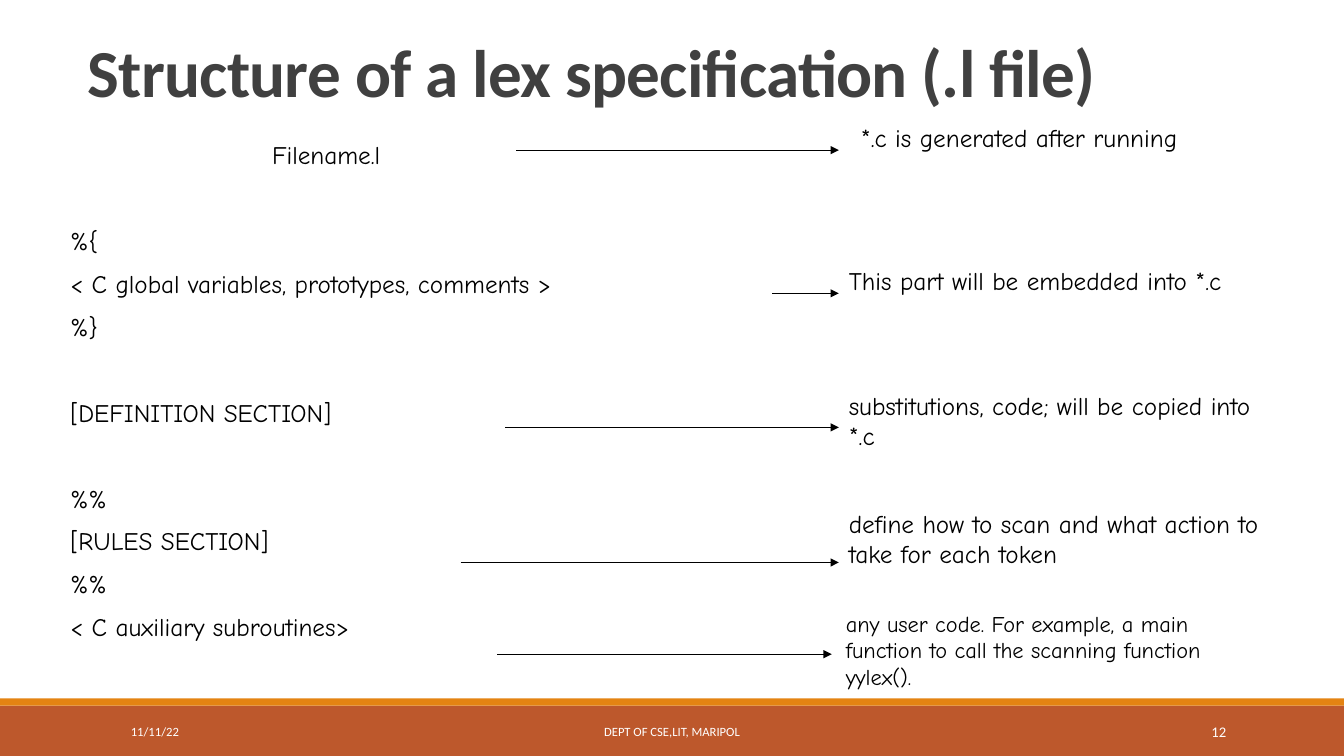
from lxml import etree
from pptx import Presentation
from pptx.dml.color import RGBColor
from pptx.enum import shapes, text
from pptx.oxml import ns
from pptx.util import Inches, Pt

BODY_FONT, HEAD_FONT = "Comic Neue", "Calibri"
BLACK, WHITE, GREY = "000000", "FFFFFF", "404040"
LEFT, CENTER, RIGHT = text.PP_ALIGN.LEFT, text.PP_ALIGN.CENTER, text.PP_ALIGN.RIGHT

TITLE = "Structure of a lex specification (.l file)"
# left, top, width, height, colour
BARS = [(0, 7, 13.33, 0.5, "BD582C"), (0, 6.93, 13.33, 0.07, "E48312")]
# left, width, size, alignment, words
FOOTER = [
    (1.2, 2.7, 9, LEFT, "11/11/22"),
    (4.03, 5.27, 9, CENTER, "DEPT OF CSE,LIT, MARIPOL"),
    (10.83, 1.43, 10.5, RIGHT, "12"),
]
# Each group of lines is set off from the next by one line's height
LEX_FILE = [
    ["Filename.l"],
    ["%{", "< C global variables, prototypes, comments >", "%}"],
    ["[DEFINITION SECTION]"],
    ["%%", "[RULES SECTION]", "%%", "< C auxiliary subroutines>"],
]
# left, top, width, height, size, words, arrow start, arrow end, arrow height
NOTES = [
    (8.44, 1.16, 4.2, 0.7, 18, "*.c is generated after running", 5.12, 8.32, 1.49),
    (8.32, 2.58, 4.2, 0.7, 18, "This part will be embedded into *.c", 7.66, 8.32, 2.91),
    (8.32, 3.82, 4.2, 0.71, 18, "substitutions, code; will be copied into *.c",
     5.01, 8.32, 4.24),
    (8.32, 4.99, 4.42, 1, 18, "define how to scan and what action to take for each token",
     4.57, 8.32, 5.58),
    (8.29, 6, 4.42, 0.9, 16,
     "any user code. For example, a main function to call the scanning function yylex().",
     4.93, 8.25, 6.49),
]
LINE_GAP, GROUP_GAP = 9.1, 39.8


def rgb(code):
    return RGBColor.from_string(code)


def add_box(left, top, width, height, anchor=text.MSO_ANCHOR.TOP):
    box = page.shapes.add_textbox(Inches(left), Inches(top), Inches(width), Inches(height))
    frame = box.text_frame
    frame.word_wrap = True
    frame.vertical_anchor = anchor
    return frame


def add_span(para, words, size, font=BODY_FONT, color=BLACK):
    span = para.add_run()
    span.text = words
    span.font.size = Pt(size)
    span.font.name = font
    span.font.color.rgb = rgb(color)
    return span


def add_arrow(start, end, height):
    arrow = page.shapes.add_connector(
        shapes.MSO_CONNECTOR.STRAIGHT,
        Inches(start), Inches(height), Inches(end), Inches(height))
    arrow.line.color.rgb = rgb(BLACK)
    arrow.line.width = Pt(0.75)
    etree.SubElement(arrow.line._get_or_add_ln(), ns.qn("a:tailEnd"), type="triangle")
    etree.SubElement(arrow._element.spPr, ns.qn("a:effectLst"))


deck = Presentation()
deck.slide_width, deck.slide_height = Inches(13.33), Inches(7.5)
page = deck.slides.add_slide(deck.slide_layouts[6])

for left, top, width, height, color in BARS:
    bar = page.shapes.add_shape(
        shapes.MSO_SHAPE.RECTANGLE,
        Inches(left), Inches(top), Inches(width), Inches(height))
    bar.shadow.inherit = False
    bar.fill.solid()
    bar.fill.fore_color.rgb = rgb(color)
    bar.line.fill.background()

for left, width, size, align, words in FOOTER:
    para = add_box(left, 7.06, width, 0.4, text.MSO_ANCHOR.MIDDLE).paragraphs[0]
    para.alignment = align
    add_span(para, words, size, HEAD_FONT, WHITE)

para = add_box(0.77, 0.32, 12.56, 0.83, text.MSO_ANCHOR.BOTTOM).paragraphs[0]
para.line_spacing = 0.85
heading = add_span(para, TITLE, 48, HEAD_FONT, GREY)
heading.font.bold = True
heading.font._element.set("spc", "-50")

frame = add_box(0.6, 1.33, 6.96, 5.4)
for group_index, group in enumerate(LEX_FILE):
    for line_index, words in enumerate(group):
        if group_index == 0:
            para = frame.paragraphs[0]
            para._p.get_or_add_pPr().set("marL", str(Inches(2)))
        else:
            para = frame.add_paragraph()
            para.space_before = Pt(LINE_GAP if line_index else GROUP_GAP)
        add_span(para, words, 18)

for left, top, width, height, size, words, start, end, arrow_height in NOTES:
    add_span(add_box(left, top, width, height).paragraphs[0], words, size)
    add_arrow(start, end, arrow_height)

deck.save("out.pptx")
